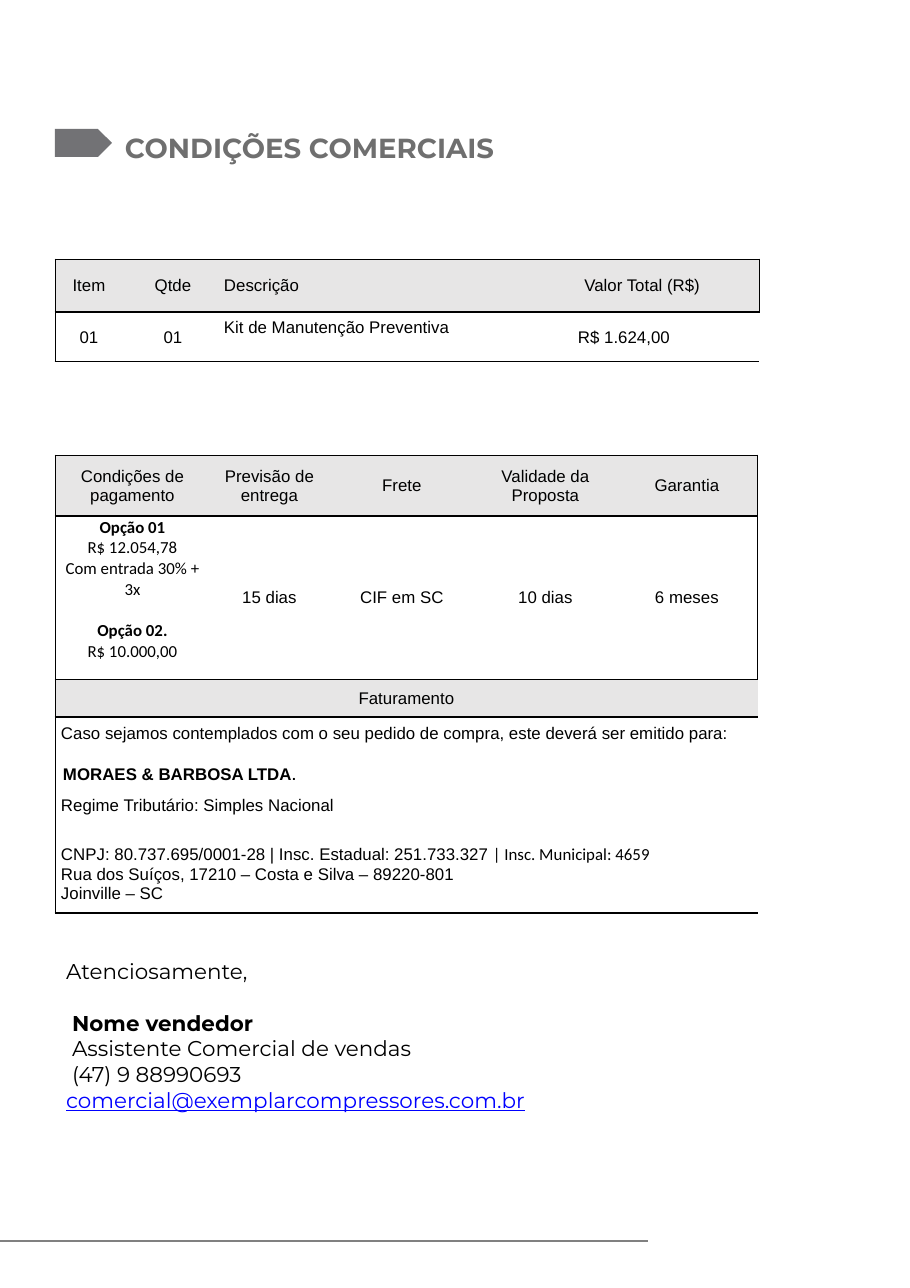
from lxml import etree
from pptx import Presentation
from pptx.dml.color import RGBColor
from pptx.enum.shapes import MSO_CONNECTOR, MSO_SHAPE
from pptx.enum.text import MSO_ANCHOR, PP_ALIGN
from pptx.oxml.ns import qn
from pptx.util import Pt

LEFT, CENTER = PP_ALIGN.LEFT, PP_ALIGN.CENTER
TOP, MIDDLE = MSO_ANCHOR.TOP, MSO_ANCHOR.MIDDLE
PENTAGON, STRAIGHT = MSO_SHAPE.PENTAGON, MSO_CONNECTOR.STRAIGHT

EMU_PER_PX = 8298
TITLE_ONLY = 5
NO_GRID_STYLE = "{2D5ABB26-0587-4C30-8999-92F81FD0307C}"
BLACK, GREY, HEADER_FILL = "000000", "6F6F6F", "E7E6E6"
THIN, THICK = 0.75, 2


def px(length):
    return length * EMU_PER_PX


def box_px(*lengths):
    return [px(length) for length in lengths]


def rgb(color):
    return RGBColor.from_string(color)


# Text
def add_run(paragraph, text, *, size=11, font="Arial", color=BLACK,
            bold=False, underline=False):
    run = paragraph.add_run()
    run.text = text
    run.font.size = Pt(size)
    run.font.name = font
    run.font.bold = bold
    run.font.underline = underline
    run.font.color.rgb = rgb(color)


def write(text_frame, text, *, align=LEFT, before=0, indent=0, **run_format):
    paragraph = text_frame.paragraphs[-1]
    if paragraph.runs:
        paragraph = text_frame.add_paragraph()
    paragraph.alignment = align
    paragraph.space_before = Pt(before)
    if indent:
        paragraph._p.get_or_add_pPr().set("marL", str(px(indent)))
    add_run(paragraph, text, **run_format)
    return paragraph


def set_margins(target, left, top, right, bottom):
    target.margin_left, target.margin_top = px(left), px(top)
    target.margin_right, target.margin_bottom = px(right), px(bottom)


# Tables
def set_border(cell, side, width):
    line = etree.Element(qn(f"a:ln{side}"), w=str(Pt(width)))
    fill = etree.SubElement(line, qn("a:solidFill"))
    etree.SubElement(fill, qn("a:srgbClr"), val=BLACK)
    properties = cell._tc.get_or_add_tcPr()
    position = sum(child.tag.startswith(qn("a:ln")) for child in properties)
    properties.insert(position, line)


def add_framed_table(slide, left, top, columns, rows, edges, shaded_rows):
    """edges holds the width of each horizontal rule, from top to bottom."""
    frame = slide.shapes.add_table(
        len(rows), len(columns), *box_px(left, top, sum(columns), sum(rows)))
    table = frame.table
    table._tbl.tblPr.find(qn("a:tableStyleId")).text = NO_GRID_STYLE
    for column, width in zip(table.columns, columns):
        column.width = px(width)
    for row_index, (row, height) in enumerate(zip(table.rows, rows)):
        row.height = px(height)
        for column_index, cell in enumerate(row.cells):
            set_margins(cell, 1, 1, 1, 0)
            cell.vertical_anchor = MIDDLE
            if row_index in shaded_rows:
                cell.fill.solid()
                cell.fill.fore_color.rgb = rgb(HEADER_FILL)
            else:
                cell.fill.background()
            if column_index == 0:
                set_border(cell, "L", THIN)
            if column_index == len(columns) - 1:
                set_border(cell, "R", THIN)
            set_border(cell, "T", edges[row_index])
            set_border(cell, "B", edges[row_index + 1])
    return table


def add_items_table(slide, left, top):
    table = add_framed_table(slide, left, top, [68, 100, 354, 6, 176], [53, 50],
                             [THIN, THICK, THIN], {0})
    table.cell(1, 3).merge(table.cell(1, 4))
    entries = [
        (0, "Item", "01", CENTER),
        (1, "Qtde", "01", CENTER),
        (2, "Descrição", "Kit de Manutenção Preventiva", LEFT),
        (4, "Valor Total (R$)", None, LEFT),
        (3, None, "R$ 1.624,00", LEFT),
    ]
    for column, *texts, align in entries:
        for row, text in enumerate(texts):
            if text:
                write(table.cell(row, column).text_frame, text, align=align)
    description = table.cell(1, 2)
    description.vertical_anchor = TOP
    description.margin_top = px(6)


def write_payment_options(cell):
    cell.vertical_anchor = TOP
    options = [("Opção 01", True, 0), ("R$ 12.054,78", False, 0),
               ("Com entrada 30% + 3x", False, 0),
               ("Opção 02.", True, 13.5), ("R$ 10.000,00", False, 0)]
    for text, bold, before in options:
        write(cell.text_frame, text, align=CENTER, before=before,
              font="Calibri", bold=bold)


def write_billing(cell):
    cell.vertical_anchor = TOP
    set_margins(cell, 6, 7, 1, 0)
    frame = cell.text_frame
    write(frame, "Caso sejamos contemplados com o seu pedido de compra, "
                 "este deverá ser emitido para:")
    company = write(frame, "MORAES & BARBOSA LTDA", before=15, indent=2, bold=True)
    add_run(company, ".", size=9, bold=True)
    write(frame, "Regime Tributário: Simples Nacional", before=7.6)
    registry = write(
        frame, "CNPJ: 80.737.695/0001-28 | Insc. Estadual: 251.733.327", before=19.5)
    add_run(registry, " | Insc. Municipal: 4659", font="Calibri")
    write(frame, "Rua dos Suíços, 17210 – Costa e Silva – 89220-801")
    write(frame, "Joinville – SC")


def add_conditions_table(slide, left, top):
    table = add_framed_table(slide, left, top, [155, 119, 146, 141, 142],
                             [61, 163, 38, 196],
                             [THIN, THICK, THIN, THICK, THICK], {0, 2})
    for row in (2, 3):
        table.cell(row, 0).merge(table.cell(row, 4))
    headers = ["Condições de pagamento", "Previsão de entrega", "Frete",
               "Validade da Proposta", "Garantia"]
    values = ["15 dias", "CIF em SC", "10 dias", "6 meses"]
    for column, text in enumerate(headers):
        write(table.cell(0, column).text_frame, text, align=CENTER)
    for column, text in enumerate(values, start=1):
        write(table.cell(1, column).text_frame, text, align=CENTER)
    write_payment_options(table.cell(1, 0))
    write(table.cell(2, 0).text_frame, "Faturamento", align=CENTER)
    write_billing(table.cell(3, 0))


# Heading with its marker
def add_heading(slide, left, top):
    marker = slide.shapes.add_shape(PENTAGON, *box_px(left, top + 4, 57, 28))
    marker.shadow.inherit = False
    marker.fill.solid()
    marker.fill.fore_color.rgb = rgb("727275")
    marker.line.fill.background()
    title = slide.shapes.title
    title.left, title.top, title.width, title.height = box_px(left + 70, top, 555, 38)
    frame = title.text_frame
    set_margins(frame, 0, 0, 0, 0)
    frame.vertical_anchor = TOP
    paragraph = write(frame, "CONDIÇÕES COMERCIAIS", size=18, font="Montserrat",
                      color=GREY, bold=True)
    paragraph.line_spacing = Pt(25.2)


# Closing and signature
def add_signature(slide, left, top, width, height):
    frame = slide.shapes.add_textbox(*box_px(left, top, width, height)).text_frame
    frame.word_wrap = True
    set_margins(frame, 11, 5, 11, 5)
    style = {"size": 14, "font": "Montserrat"}
    write(frame, "Atenciosamente,", **style)
    write(frame, "Nome vendedor", before=17, indent=6, bold=True, **style)
    write(frame, "Assistente Comercial de vendas", indent=6, **style)
    write(frame, "(47) 9 88990693", indent=6, **style)
    write(frame, "comercial@exemplarcompressores.com.br", color="0000FF",
          underline=True, **style)


def add_footer_rule(slide, left, top, width):
    rule = slide.shapes.add_connector(
        STRAIGHT, *box_px(left, top, left + width, top))
    rule.line.color.rgb = rgb("808080")
    rule.line.width = Pt(0.75)
    etree.SubElement(rule._element.spPr, qn("a:effectLst"))


def main():
    presentation = Presentation()
    presentation.slide_width, presentation.slide_height = box_px(910, 1288)
    slide = presentation.slides.add_slide(presentation.slide_layouts[TITLE_ONLY])
    add_heading(slide, 55, 125)
    add_footer_rule(slide, 0, 1241, 648)
    add_items_table(slide, 55, 259)
    add_signature(slide, 55, 953, 492, 187)
    add_conditions_table(slide, 55, 455)
    presentation.save("out.pptx")


if __name__ == "__main__":
    main()
